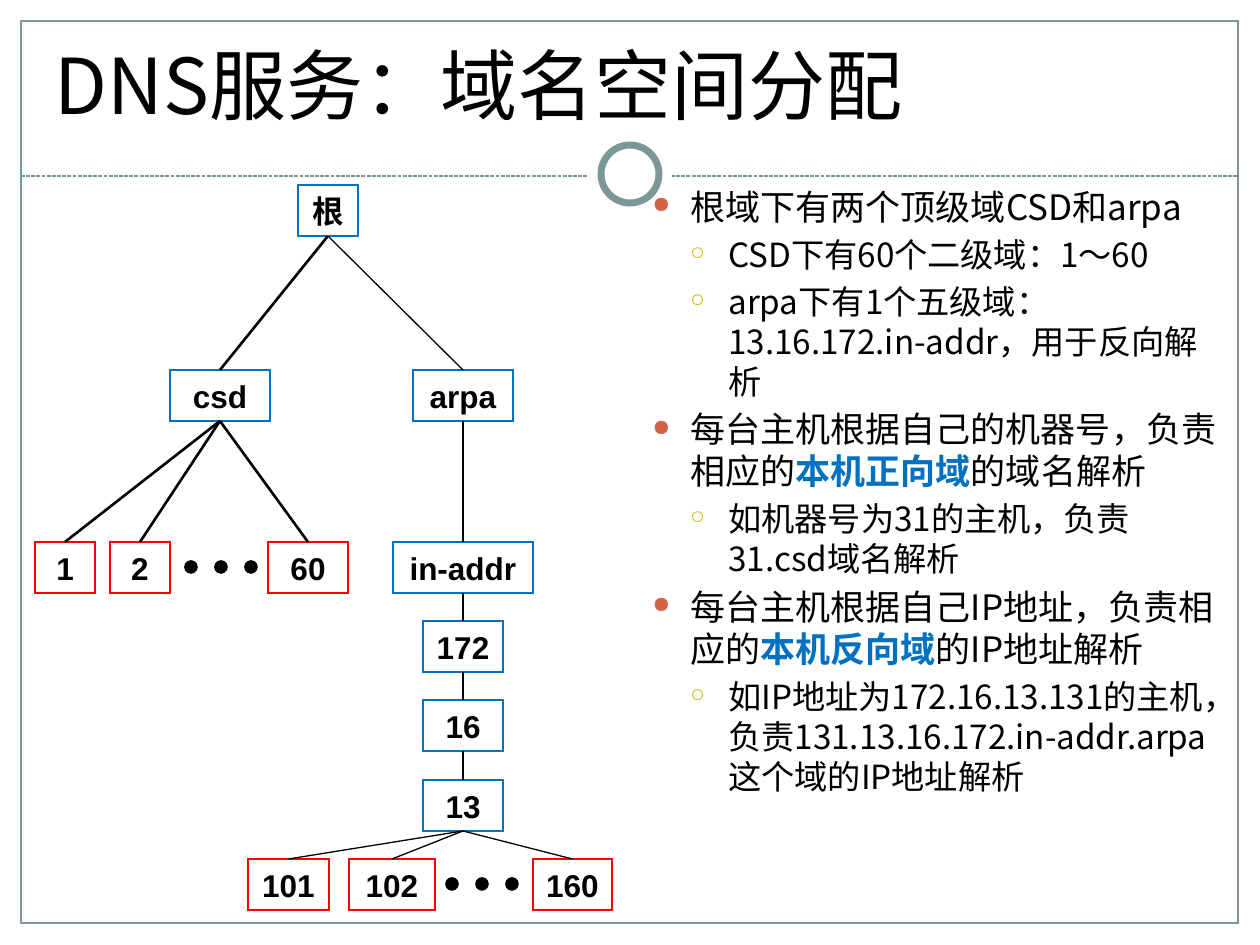
"""Build the DNS name space slide: a domain tree beside explanatory bullets."""
from lxml import etree
from pptx import Presentation
from pptx.dml.color import RGBColor
from pptx.enum.dml import MSO_LINE
from pptx.enum.shapes import MSO_CONNECTOR, MSO_SHAPE
from pptx.enum.text import MSO_ANCHOR, PP_ALIGN
from pptx.oxml.ns import qn
from pptx.util import Pt

PIXEL = 914400 // 126
RECT, OVAL = MSO_SHAPE.RECTANGLE, MSO_SHAPE.OVAL
STRAIGHT = MSO_CONNECTOR.STRAIGHT
SYS_DASH = MSO_LINE.SQUARE_DOT
LEFT, CENTER = PP_ALIGN.LEFT, PP_ALIGN.CENTER
BOTTOM, MIDDLE, TOP = MSO_ANCHOR.BOTTOM, MSO_ANCHOR.MIDDLE, MSO_ANCHOR.TOP
TITLE_ONLY = 5
CJK, LATIN = "Noto Sans CJK SC", "Arial"
COLOURS = {
    "text": "000000", "paper": "FFFFFF", "frame": "7B9798", "zone": "0070C0",
    "host": "FF0000", "disc": "D16349", "ring": "CCB400",
}
MARGINS = [(0, 0, 1260, 192), (0, 0, 21, 945), (1239, 0, 21, 945)]
NODE_HEIGHT = 51
NODES = {
    "根": (298, 185, 60, "zone"),
    "csd": (170, 370, 100, "zone"),
    "arpa": (413, 370, 100, "zone"),
    "1": (35, 542, 60, "host"),
    "2": (110, 542, 60, "host"),
    "60": (268, 542, 80, "host"),
    "in-addr": (393, 542, 140, "zone"),
    "172": (423, 621, 80, "zone"),
    "16": (423, 700, 80, "zone"),
    "13": (423, 780, 80, "zone"),
    "101": (248, 859, 81, "host"),
    "102": (349, 859, 86, "host"),
    "160": (533, 859, 79, "host"),
}
BRANCHES = [
    ("根", ["csd"], 1.5), ("csd", ["1", "2", "60"], 1.5),
    ("根", ["arpa"], 0.75), ("arpa", ["in-addr"], 0.75),
    ("in-addr", ["172"], 0.75), ("172", ["16"], 0.75), ("16", ["13"], 0.75),
    ("13", ["101", "102", "160"], 0.75),
]
LEVELS = [(20, 38, "●", 65, "disc"), (19, 76, "○", 55, "ring")]
POINTS = [
    (0, ["根域下有两个顶级域CSD和arpa"]),
    (1, ["CSD下有60个二级域：1～60"]),
    (1, ["arpa下有1个五级域：13.16.172.in-addr，用于反向解析"]),
    (0, ["每台主机根据自己的机器号，负责相应的", "本机正向域", "的域名解析"]),
    (1, ["如机器号为31的主机，负责31.csd域名解析"]),
    (0, ["每台主机根据自己IP地址，负责相应的", "本机反向域", "的IP地址解析"]),
    (1, ["如IP地址为172.16.13.131的主机，负责131.13.16.172.in-addr.arpa这个域的IP地址解析"]),
]


def px(*lengths):
    """Turn pixel lengths into EMU."""
    return [round(length * PIXEL) for length in lengths]


def rgb(name):
    """Look up a named colour."""
    return RGBColor.from_string(COLOURS[name])


def style_run(run, size, font, bold=False, colour="text"):
    """Set the size, typefaces, weight and colour of a run."""
    run.font.size, run.font.name, run.font.bold = Pt(size), font, bold
    run.font.color.rgb = rgb(colour)
    etree.SubElement(run._r.rPr, qn("a:ea")).set("typeface", CJK)


def add_outline(slide, preset, box, fill=None, line=None, width=0.75):
    """Add a preset shape with optional fill and mitred line."""
    shape = slide.shapes.add_shape(preset, *px(*box))
    shape.shadow.inherit = False
    if fill:
        shape.fill.solid()
        shape.fill.fore_color.rgb = rgb(fill)
    else:
        shape.fill.background()
    if line:
        shape.line.color.rgb = rgb(line)
        shape.line.width = Pt(width)
        stroke = shape.element.spPr.find(qn("a:ln"))
        etree.SubElement(stroke, qn("a:miter")).set("lim", "800000")
    else:
        shape.line.fill.background()
    return shape


def add_line(slide, start, end, colour, width):
    """Add a straight line without shadow."""
    line = slide.shapes.add_connector(STRAIGHT, *px(*start, *end))
    line.line.color.rgb = rgb(colour)
    line.line.width = Pt(width)
    etree.SubElement(line.element.spPr, qn("a:effectLst"))
    return line


def add_frame(slide):
    """Draw the margins, the border, the dashed rule and the ring on it."""
    for margin in MARGINS:
        add_outline(slide, RECT, margin, fill="paper")
    add_outline(slide, RECT, (21, 21, 1217, 902), line="frame")
    rule = add_line(slide, (21, 176), (1238, 176), "frame", 0.75)
    rule.line.dash_style = SYS_DASH
    add_outline(slide, OVAL, (588, 132, 84, 84), fill="paper")
    add_outline(slide, OVAL, (601, 145, 58, 58), "paper", "frame", 4)


def set_title(slide, wording):
    """Place and format the title placeholder in front of the frame."""
    title = slide.shapes.title
    title.element.getparent().append(title.element)
    title.left, title.top, title.width, title.height = px(42, 32, 1176, 104)
    frame = title.text_frame
    frame.text = wording
    frame.vertical_anchor = BOTTOM
    frame.paragraphs[0].alignment = LEFT
    style_run(frame.paragraphs[0].runs[0], 44, CJK)


def set_bullet(paragraph, indent, mark, percent, colour):
    """Give a paragraph a hanging coloured bullet."""
    props = paragraph._p.get_or_add_pPr()
    margin, hang = px(indent, -38)
    props.set("marL", str(margin))
    props.set("indent", str(hang))
    tint = etree.SubElement(props, qn("a:buClr"))
    etree.SubElement(tint, qn("a:srgbClr")).set("val", COLOURS[colour])
    etree.SubElement(props, qn("a:buSzPct")).set("val", str(percent * 1000))
    etree.SubElement(props, qn("a:buChar")).set("char", mark)


def add_points(slide):
    """Write the two-level bullet list; the middle run is emphasised."""
    frame = slide.shapes.add_textbox(*px(640, 179, 597, 742)).text_frame
    frame.word_wrap = True
    frame.vertical_anchor = TOP
    for number, (level, pieces) in enumerate(POINTS):
        paragraph = frame.add_paragraph() if number else frame.paragraphs[0]
        size, *bullet = LEVELS[level]
        paragraph.level = level
        paragraph.line_spacing = 1.0
        paragraph.space_before = Pt(4)
        set_bullet(paragraph, *bullet)
        for position, piece in enumerate(pieces):
            run = paragraph.add_run()
            run.text = piece
            strong = position == 1
            style_run(run, size, CJK, strong, "zone" if strong else "text")


def add_node(slide, label, left, top, width, colour):
    """Add one labelled domain box."""
    node = add_outline(slide, RECT, (left, top, width, NODE_HEIGHT), line=colour)
    frame = node.text_frame
    frame.text = label
    frame.word_wrap = False
    frame.vertical_anchor = MIDDLE
    frame.paragraphs[0].alignment = CENTER
    style_run(frame.paragraphs[0].runs[0], 18, LATIN, True)


def add_branch(slide, parent, child, width):
    """Join the foot of a parent to the head of its child."""
    left, top, span, _ = NODES[parent]
    child_left, child_top, child_span, _ = NODES[child]
    add_line(slide, (left + span / 2, top + NODE_HEIGHT),
             (child_left + child_span / 2, child_top), "text", width)


def add_ellipsis(slide, left, top):
    """Add three dots for the omitted siblings."""
    for step in range(3):
        add_outline(slide, OVAL, (left + 30 * step, top, 10, 10), "text", "text", 2)


def main():
    """Assemble and save the slide."""
    deck = Presentation()
    deck.slide_width, deck.slide_height = px(1260, 945)
    slide = deck.slides.add_slide(deck.slide_layouts[TITLE_ONLY])
    add_frame(slide)
    set_title(slide, "DNS服务：域名空间分配")
    add_points(slide)
    for label, place in NODES.items():
        add_node(slide, label, *place)
    for parent, children, width in BRANCHES:
        for child in children:
            add_branch(slide, parent, child, width)
    for left, top in ((186, 562), (447, 879)):
        add_ellipsis(slide, left, top)
    deck.save("out.pptx")


main()
